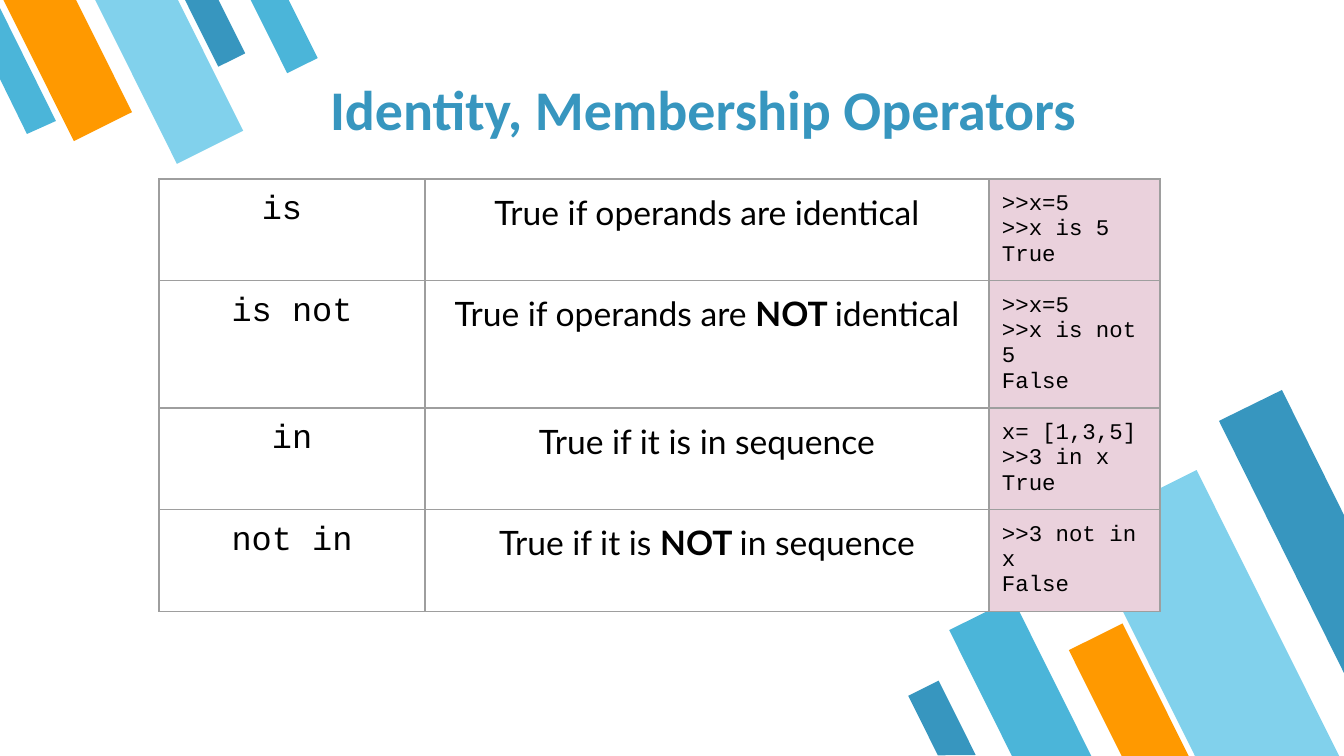
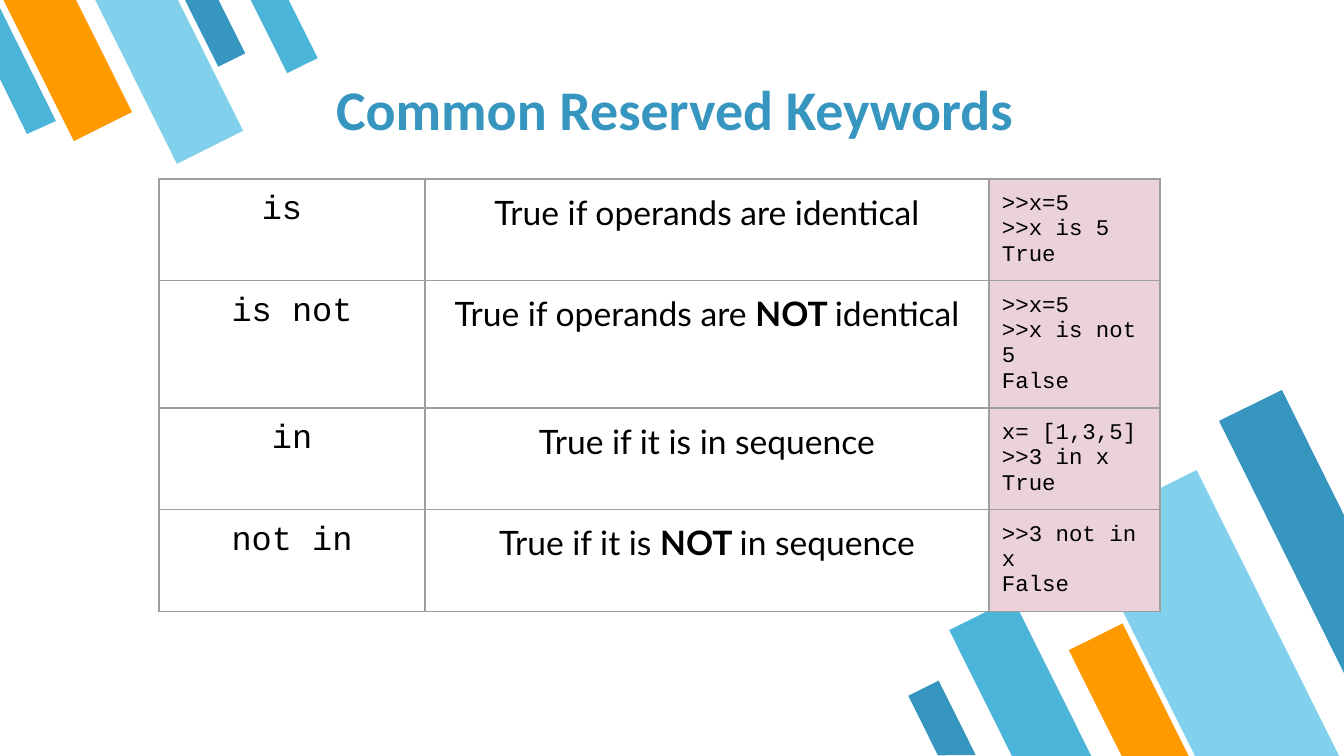
"""Builds two slides on Python operators and keywords over a striped layout."""
from dataclasses import dataclass

from lxml import etree
from pptx import Presentation
from pptx import util as u
from pptx.dml.color import RGBColor
from pptx.enum import shapes, text
from pptx.oxml.ns import qn


@dataclass(frozen=True)
class Theme:
    navy: str = "3796BF"
    blue: str = "4BB5D9"
    sky: str = "81D1EC"
    orange: str = "FF9900"
    ink: str = "000000"
    code_fill: str = "EAD1DC"
    border: str = "9E9E9E"
    title_font: str = "Calibri"
    body_font: str = "Lato"
    code_font: str = "Courier New"
    title_size: int = 30
    body_size: int = 18
    code_size: int = 12
    border_width: float = 0.75


THEME = Theme()
SLIDE_SIZE = (1344, 756)

TITLES = [
    ("Identity, Membership Operators", 321),
    ("Common Reserved Keywords", 327),
]
TITLE_TOP, TITLE_RIGHT, TITLE_HEIGHT, TITLE_INSET = 66, 1298, 85, 9

OPERATORS = [
    ("is ", ["True if operands are identical"], [">>x=5", ">>x is 5", "True"]),
    ("is not", ["True if operands are ", "NOT ", "identical"],
     [">>x=5", ">>x is not 5", "False"]),
    ("in", ["True if it is in sequence"], ["x= [1,3,5]", ">>3 in x", "True"]),
    ("not in", ["True if it is ", "NOT ", "in sequence"],
     [">>3 not in x", "False"]),
]
TABLE_LEFT, TABLE_TOP, TABLE_HEIGHT = 159, 179, 457
COLUMN_WIDTHS = (266, 564, 171)
ROW_HEIGHT, CELL_INSET = 60, 13

CORNERS = [
    {
        "angle": 153.5,
        "stripes": [
            (985, 605, 71, 177, THEME.blue),
            (1146, 482, 129, 321, THEME.sky),
            (1099, 629, 60, 149, THEME.orange),
            (925, 684, 34, 83, THEME.navy),
        ],
        "edge": [(1282, 390), (1219, 421), (1344, 673), (1344, 515)],
        "edge_color": THEME.navy,
    },
    {
        "angle": 333.5,
        "stripes": [
            (200, -11, 30, 75, THEME.navy),
            (35, -24, 65, 159, THEME.orange),
            (132, -27, 74, 184, THEME.sky),
            (267, -13, 34, 83, THEME.blue),
        ],
        "edge": [(27, 134), (56, 121), (0, 8), (0, 79)],
        "edge_color": THEME.blue,
    },
]


def px(length):
    """Convert pixels to EMU."""
    return u.Emu(round(length * 914400 / 134.4))


def paint(shape, color):
    """Give a shape a flat fill with no line or shadow."""
    shape.fill.solid()
    shape.fill.fore_color.rgb = RGBColor.from_string(color)
    shape.line.fill.background()
    shape.shadow.inherit = False


def style(font, name, size, color, bold=False):
    """Set the face, size, colour and weight of a font."""
    font.name, font.size, font.bold = name, u.Pt(size), bold
    font.color.rgb = RGBColor.from_string(color)


def draw_corner(page, corner):
    """Draw one corner of slanted stripes as a group."""
    group = page.shapes.add_group_shape()
    for *frame, color in corner["stripes"]:
        stripe = group.shapes.add_shape(
            shapes.MSO_SHAPE.FLOWCHART_MANUAL_INPUT, *map(px, frame))
        stripe.rotation = corner["angle"]
        stripe.element.spPr.find(qn("a:xfrm")).set("flipH", "1")
        paint(stripe, color)
    start, *others = [(px(x), px(y)) for x, y in corner["edge"]]
    outline = group.shapes.build_freeform(*start)
    outline.add_line_segments(others, close=True)
    paint(outline.convert_to_shape(), corner["edge_color"])
    return group


def decorate(layout, page):
    """Place the corner stripes on the layout that all slides share."""
    tree = layout.shapes.element
    for corner in CORNERS:
        tree.append(draw_corner(page, corner).element)
    for number, tag in enumerate(tree.iter(qn("p:cNvPr")), 1):
        tag.set("id", str(number))


def set_title(page, wording, left):
    """Fill and format the title placeholder."""
    box = page.shapes.title
    box.left, box.top = px(left), px(TITLE_TOP)
    box.width, box.height = px(TITLE_RIGHT - left), px(TITLE_HEIGHT)
    frame = box.text_frame
    frame.text = wording
    frame.word_wrap = True
    frame.auto_size = text.MSO_AUTO_SIZE.NONE
    frame.vertical_anchor = text.MSO_ANCHOR.BOTTOM
    frame.margin_left = frame.margin_right = px(TITLE_INSET)
    frame.margin_top = frame.margin_bottom = px(TITLE_INSET)
    para = frame.paragraphs[0]
    para.alignment = text.PP_ALIGN.LEFT
    style(para.font, THEME.title_font, THEME.title_size, THEME.navy, True)


def format_cell(cell, fill=None):
    """Set the margins, fill and borders of a cell."""
    cell.margin_left = cell.margin_right = px(CELL_INSET)
    cell.margin_top = cell.margin_bottom = px(CELL_INSET)
    if fill:
        cell.fill.solid()
        cell.fill.fore_color.rgb = RGBColor.from_string(fill)
    else:
        cell.fill.background()
    properties = cell._tc.get_or_add_tcPr()
    for index, side in enumerate(("lnL", "lnR", "lnT", "lnB")):
        line = etree.Element(qn(f"a:{side}"), w=str(u.Pt(THEME.border_width)))
        solid = etree.SubElement(line, qn("a:solidFill"))
        etree.SubElement(solid, qn("a:srgbClr"), val=THEME.border)
        properties.insert(index, line)


def add_operator_table(page):
    """Add the table of operators, meanings and examples."""
    frame = page.shapes.add_table(
        len(OPERATORS), len(COLUMN_WIDTHS), px(TABLE_LEFT), px(TABLE_TOP),
        px(sum(COLUMN_WIDTHS)), px(ROW_HEIGHT * len(OPERATORS)))
    table = frame.table
    table.first_row = table.horz_banding = False
    for column, width in zip(table.columns, COLUMN_WIDTHS):
        column.width = px(width)
    for row, (operator, meaning, example) in zip(table.rows, OPERATORS):
        row.height = px(ROW_HEIGHT)
        name_cell, meaning_cell, code_cell = row.cells
        format_cell(name_cell)
        format_cell(meaning_cell)
        format_cell(code_cell, THEME.code_fill)

        name_cell.text = operator
        para = name_cell.text_frame.paragraphs[0]
        para.alignment = text.PP_ALIGN.CENTER
        style(para.font, THEME.code_font, THEME.body_size, THEME.ink)

        para = meaning_cell.text_frame.paragraphs[0]
        para.alignment = text.PP_ALIGN.CENTER
        style(para.font, THEME.body_font, THEME.body_size, THEME.ink)
        for wording in meaning:
            span = para.add_run()
            span.text = wording
            style(span.font, THEME.body_font, THEME.body_size, THEME.ink,
                  wording == "NOT ")

        code_cell.text = "\n".join(example)
        for para in code_cell.text_frame.paragraphs:
            style(para.font, THEME.code_font, THEME.code_size, THEME.ink)
    frame.height = px(TABLE_HEIGHT)


def main():
    """Build and save the deck."""
    deck = Presentation()
    deck.slide_width, deck.slide_height = map(px, SLIDE_SIZE)
    layout = deck.slide_layouts[5]
    pages = [deck.slides.add_slide(layout) for _ in TITLES]
    decorate(layout, pages[0])
    for page, (wording, left) in zip(pages, TITLES):
        set_title(page, wording, left)
        add_operator_table(page)
    deck.save("out.pptx")


if __name__ == "__main__":
    main()
